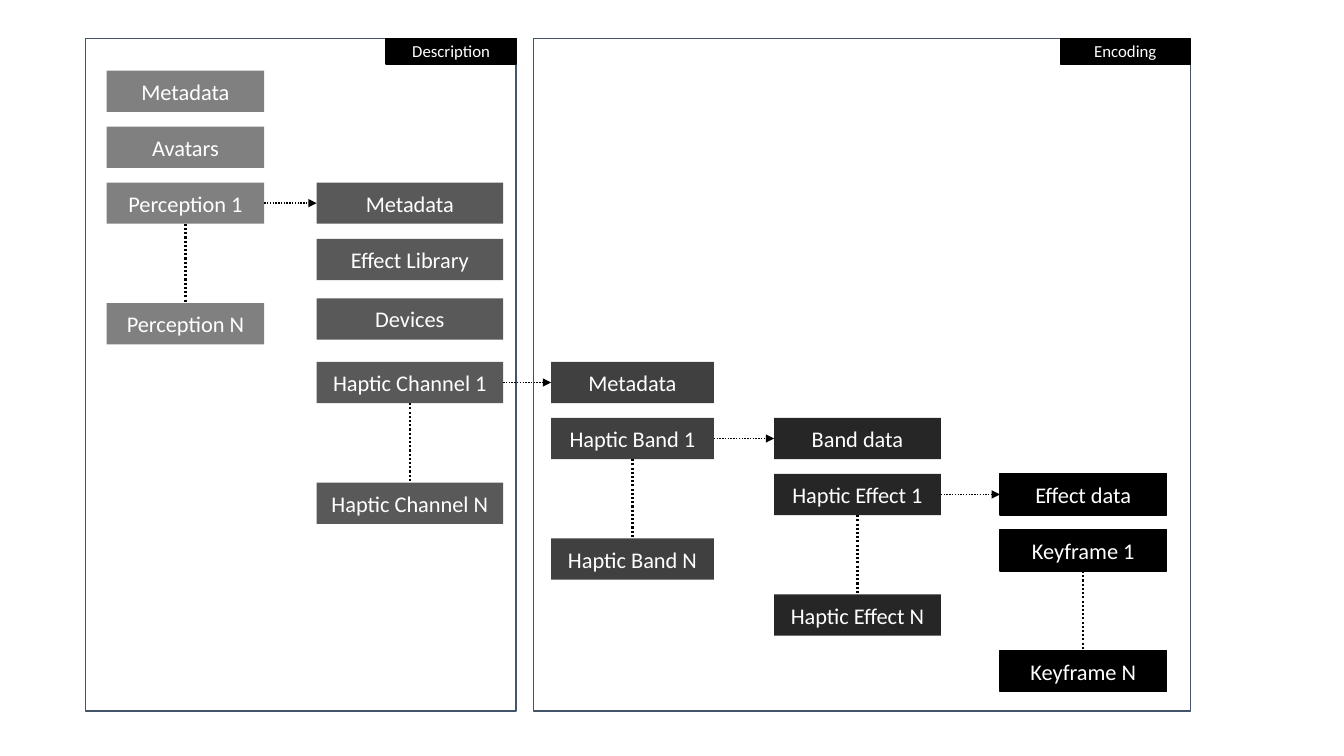
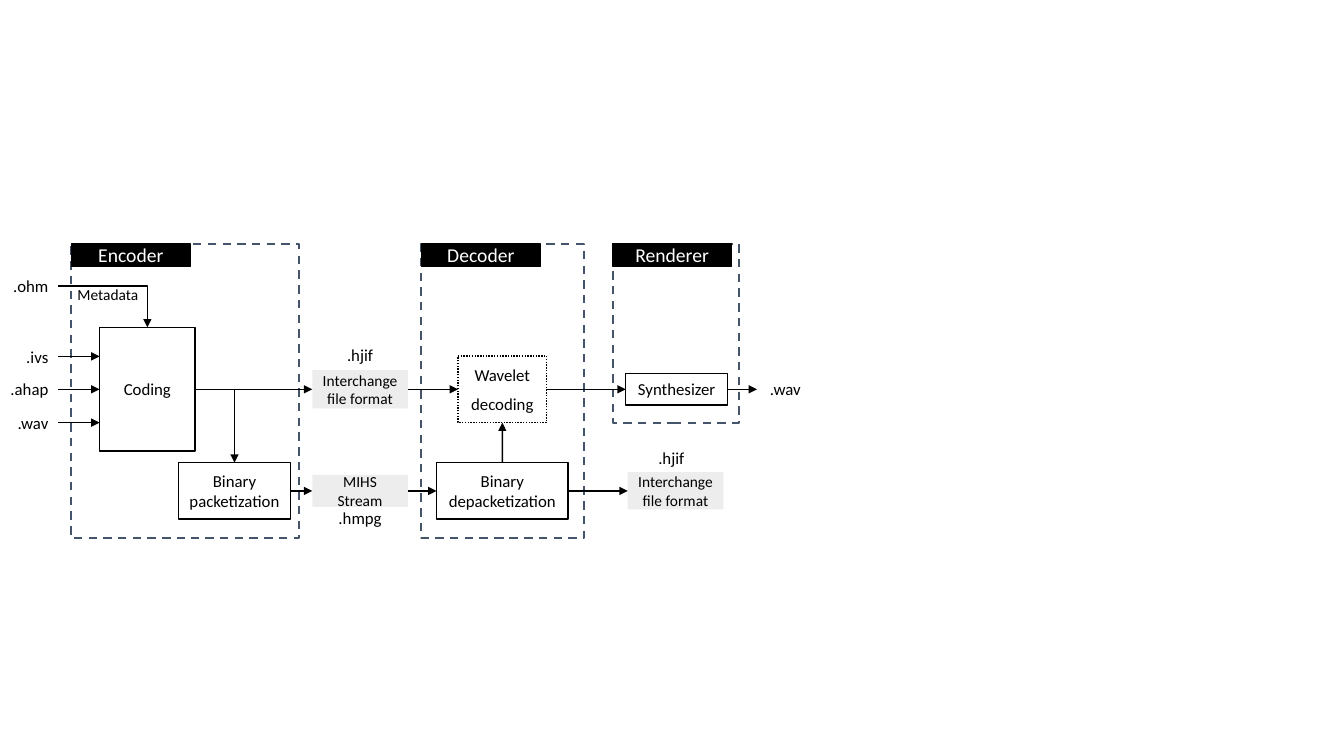
from dataclasses import dataclass
from pptx import Presentation
from pptx.dml.color import RGBColor as Rgb
from pptx.enum.dml import MSO_LINE as Dash
from pptx.enum.shapes import MSO_CONNECTOR as Wire, MSO_SHAPE as Form
from pptx.enum.text import MSO_ANCHOR as Anchor, PP_ALIGN as Align
from pptx.oxml.ns import qn
from pptx.util import Cm, Pt
from lxml.etree import SubElement as Sub


@dataclass(frozen=True)
class Theme:
    font: str = "Calibri"
    black: str = "000000"
    white: str = "FFFFFF"
    navy: str = "44546A"
    pale: str = "EDEDED"
    grays: tuple = ("808080", "595959", "404040", "262626", "000000")
    node: int = 16
    head: int = 14
    text: int = 12
    note: int = 11
    thin: float = 1
    thick: float = 1.5


@dataclass(frozen=True)
class Box:
    left: float
    top: float
    width: float
    height: float

    def inset(self, left, top, width, height):
        return Box(self.left + left, self.top + top, width, height)

    def level(self, left, line, width, height):
        return self.inset(left, line - height / 2, width, height)

    def cells(self):
        return [Cm(n) for n in (self.left, self.top, self.width, self.height)]


THEME = Theme()
TOP, LEFT, BOTTOM, RIGHT = range(4)
MAIN, LOW = 3.66, 6.22
FORMAT = "Interchange file format"


def write(shape, text, size=THEME.text, color=THEME.black, align=Align.CENTER, before=0):
    frame = shape.text_frame
    frame.word_wrap = True
    frame.vertical_anchor = Anchor.MIDDLE
    frame.text = text
    for para in frame.paragraphs:
        para.alignment = align
        para.space_before = Pt(before)
        font = para.runs[0].font
        font.name = THEME.font
        font.size = Pt(size)
        font.color.rgb = Rgb.from_string(color)


def block(slide, box, text="", fill=None, line=None, weight=THEME.thin, dash=None, **style):
    shape = slide.shapes.add_shape(Form.RECTANGLE, *box.cells())
    shape.shadow.inherit = False
    if fill:
        shape.fill.solid()
        shape.fill.fore_color.rgb = Rgb.from_string(fill)
    else:
        shape.fill.background()
    if line:
        shape.line.color.rgb = Rgb.from_string(line)
        shape.line.width = Pt(weight)
        if dash:
            shape.line.dash_style = dash
    else:
        shape.line.fill.background()
    if text:
        write(shape, text, **style)
    return shape


def label(slide, box, text, **style):
    shape = slide.shapes.add_textbox(*box.cells())
    write(shape, text, **style)
    frame = shape.text_frame
    frame.margin_left = frame.margin_right = 0
    frame.margin_top = frame.margin_bottom = 0


def spot(end):
    if isinstance(end[0], (int, float)):
        return Cm(end[0]), Cm(end[1])
    shape, side = end
    x = {LEFT: 0, RIGHT: shape.width}.get(side, shape.width // 2)
    y = {TOP: 0, BOTTOM: shape.height}.get(side, shape.height // 2)
    return shape.left + x, shape.top + y


def link(slide, start, end, weight=THEME.thin, dash=None, arrow=True, bent=False):
    kind = Wire.ELBOW if bent else Wire.STRAIGHT
    wire = slide.shapes.add_connector(kind, *spot(start), *spot(end))
    wire.line.color.rgb = Rgb.from_string(THEME.black)
    wire.line.width = Pt(weight)
    if dash:
        wire.line.dash_style = dash
    props = wire.element.spPr
    if arrow:
        Sub(props.find(qn("a:ln")), qn("a:tailEnd"), type="triangle")
    Sub(props, qn("a:effectLst"))
    if bent:
        props.find(qn("a:prstGeom")).set("prst", "bentConnector2")
        return
    for point, join in ((start, wire.begin_connect), (end, wire.end_connect)):
        if not isinstance(point[0], (int, float)):
            join(*point)


def panel(slide, box, title, tag, size, weight=THEME.thin, dash=None, right=False):
    block(slide, box, line=THEME.navy, weight=weight, dash=dash)
    width, height = tag
    left = box.width - width if right else 0
    block(slide, box.inset(left, 0, width, height), title, fill=THEME.black,
          line=THEME.black, size=size, color=THEME.white)


def stack(slide, box, names, steps, fill):
    tops = [sum(steps[:n]) for n in range(len(names))]
    line = fill if fill == THEME.black else None
    nodes = [block(slide, box.inset(0, top, box.width, box.height), name, fill=fill,
                   line=line, size=THEME.node, color=THEME.white)
             for name, top in zip(names, tops)]
    link(slide, (nodes[-2], BOTTOM), (nodes[-1], TOP), weight=THEME.thick,
         dash=Dash.ROUND_DOT, arrow=False)
    return nodes, tops[-2]


def tree(slide, box):
    for left, width, title in ((0, 10.85, "Description"), (11.28, 16.56, "Encoding")):
        panel(slide, box.inset(left, 0, width, box.height), title, (3.28, 0.64),
              THEME.text, right=True)
    gap, jump = 1.41, 3.04
    stacks = (
        (0.53, 3.97, ("Metadata", "Avatars", "Perception 1", "Perception N"),
         (gap, gap, jump)),
        (5.82, 4.7, ("Metadata", "Effect Library", "Devices", "Haptic Channel 1",
                     "Haptic Channel N"), (1.42, 1.5, 1.6, jump)),
        (11.73, 4.1, ("Metadata", "Haptic Band 1", "Haptic Band N"), (gap, jump)),
        (17.35, 4.2, ("Band data", "Haptic Effect 1", "Haptic Effect N"), (gap, jump)),
        (23.04, 4.2, ("Effect data", "Keyframe 1", "Keyframe N"), (gap, jump)),
    )
    top, parent = 0.81, None
    for (left, width, names, steps), fill in zip(stacks, THEME.grays):
        nodes, drop = stack(slide, box.inset(left, top, width, 1.04), names, steps, fill)
        if parent:
            link(slide, (parent, RIGHT), (nodes[0], LEFT), dash=Dash.ROUND_DOT)
        parent, top = nodes[-2], top + drop


def stage(slide, box, title):
    panel(slide, box, title, (3, 0.56), THEME.head, weight=THEME.thick, dash=Dash.DASH)


def step(slide, box, text, **style):
    return block(slide, box, text, fill=THEME.white, line=THEME.black, **style)


def slab(slide, box, text):
    return block(slide, box, text, fill=THEME.pale, size=THEME.note)


def coder(slide, box):
    stage(slide, box, "Encoder")
    code = step(slide, box.level(0.71, MAIN, 2.41, 3.12), "Coding")
    pack = step(slide, box.level(2.7, LOW, 2.82, 1.42), "Binary packetization")
    label(slide, box.level(-0.17, 1.27, 2.18, 0.51), "Metadata", size=THEME.note)
    link(slide, (code, RIGHT), (pack, TOP), bent=True)
    return code, pack


def feeds(slide, box, code):
    for text, line in ((".ohm", 1.06), (".ivs", 2.83), (".ahap", MAIN), (".wav", 4.5)):
        label(slide, box.level(0, line, 1.22, 0.76), text, align=Align.RIGHT)
        start = (box.left + 1.47, box.top + line)
        if text == ".ohm":
            link(slide, start, (code, TOP), bent=True)
        elif line == MAIN:
            link(slide, start, (code, LEFT))
        else:
            link(slide, start, (box.left + box.width, start[1]))


def slabs(slide, box):
    label(slide, box.inset(0, 2.41, box.width, 0.76), ".hjif")
    label(slide, box.inset(0, 6.52, box.width, 0.76), ".hmpg")
    return (slab(slide, box.level(0, MAIN, box.width, 0.96), FORMAT),
            slab(slide, box.level(0, LOW, box.width, 0.81), "MIHS Stream"))


def decoder(slide, box):
    stage(slide, box, "Decoder")
    wave = step(slide, box.level(0.92, MAIN, 2.24, 1.68), "Wavelet\ndecoding",
                dash=Dash.ROUND_DOT, before=6)
    unpack = step(slide, box.level(0.38, LOW, 3.32, 1.42), "Binary depacketization")
    link(slide, (unpack, TOP), (wave, BOTTOM))
    return wave, unpack


def player(slide, box):
    stage(slide, box, "Renderer")
    synth = step(slide, box.level(0.33, MAIN, 2.57, 0.8), "Synthesizer")
    label(slide, box.level(3.64, MAIN, 1.1, 0.76), ".wav", align=Align.RIGHT)
    link(slide, (synth, RIGHT), (box.left + 3.64, box.top + MAIN))
    label(slide, box.inset(1.15, 5, 1.2, 0.76), ".hjif", align=Align.LEFT)
    return synth, slab(slide, box.level(0.38, LOW, 2.41, 0.94), FORMAT)


def flow(slide, box):
    tall = box.height
    code, pack = coder(slide, box.inset(1.8, 0, 5.74, tall))
    feeds(slide, box.inset(0, 0, 2.51, tall), code)
    swap, stream = slabs(slide, box.inset(7.87, 0, 2.41, tall))
    wave, unpack = decoder(slide, box.inset(10.62, 0, 4.09, tall))
    synth, result = player(slide, box.inset(15.44, 0, 3.18, 4.5))
    for row in ((code, swap, wave, synth), (pack, stream, unpack, result)):
        for start, end in zip(row, row[1:]):
            link(slide, (start, RIGHT), (end, LEFT))


def main():
    deck = Presentation()
    deck.slide_width, deck.slide_height = Cm(33.87), Cm(19.05)
    blank = deck.slide_layouts[6]
    tree(deck.slides.add_slide(blank), Box(2.16, 0.97, 27.84, 16.95))
    flow(deck.slides.add_slide(blank), Box(0, 6.15, 20.18, 7.42))
    deck.save("out.pptx")


if __name__ == "__main__":
    main()
